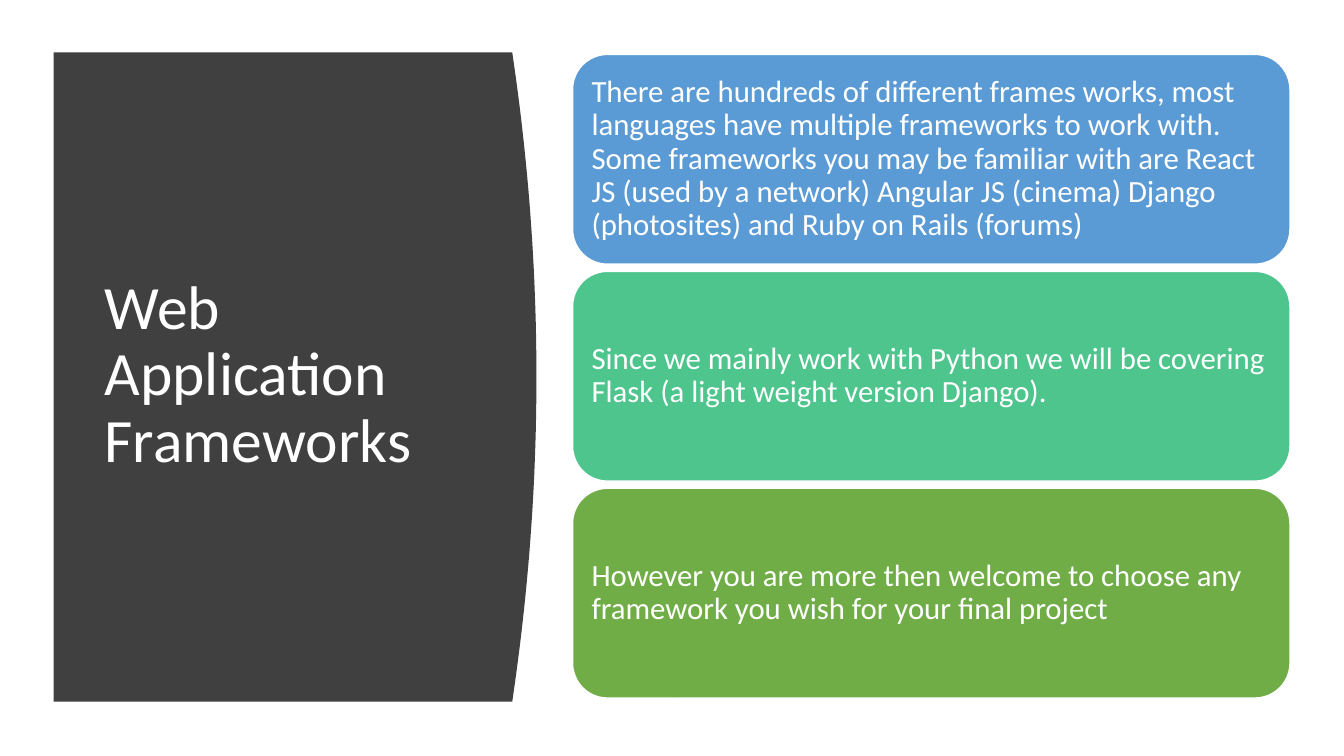
from dataclasses import dataclass

import pptx
import pptx.dml.color
import pptx.enum.shapes
import pptx.enum.text
import pptx.util
from pptx.util import Cm


@dataclass(frozen=True)
class Theme:
    font: str = "Calibri"
    title_size: int = 44
    body_size: int = 22
    text: str = "FFFFFF"
    panel: str = "404040"
    cards: tuple = ("5B9BD5", "4DC58D", "70AD47")


THEME = Theme()

TITLE = "Web Application Frameworks"
STATEMENTS = (
    "There are hundreds of different frames works, most languages have multiple "
    "frameworks to work with. Some frameworks you may be familiar with are React JS "
    "(used by a network) Angular JS (cinema) Django (photosites) and Ruby on Rails (forums)",
    "Since we mainly work with Python we will be covering Flask "
    "(a light weight version Django).",
    "However you are more then welcome to choose any framework you wish "
    "for your final project",
)


def color(value):
    return pptx.dml.color.RGBColor.from_string(value)


def paint(shape, fill):
    shape.shadow.inherit = False
    shape.fill.solid()
    shape.fill.fore_color.rgb = color(fill)


def write(shape, text, *, size, inset):
    frame = shape.text_frame
    frame.word_wrap = True
    frame.vertical_anchor = pptx.enum.text.MSO_ANCHOR.MIDDLE
    frame.margin_left = frame.margin_right = inset
    frame.margin_top = frame.margin_bottom = inset
    paragraph = frame.paragraphs[0]
    paragraph.alignment = pptx.enum.text.PP_ALIGN.LEFT
    paragraph.line_spacing = 0.9
    run = paragraph.add_run()
    run.text = text
    run.font.name = THEME.font
    run.font.size = pptx.util.Pt(size)
    run.font.color.rgb = color(THEME.text)


def add_title_panel(slide, left, top, width, height):
    bulge = Cm(0.61)
    steps = 48
    curve = []
    for step in range(steps + 1):
        offset = 2 * step / steps - 1
        curve.append((left + width - bulge * offset**2, top + height * step / steps))
    builder = slide.shapes.build_freeform(left, top)
    builder.add_line_segments(curve + [(left, top + height)], close=True)
    panel = builder.convert_to_shape()
    paint(panel, THEME.panel)
    panel.line.fill.background()

    title = slide.shapes.add_textbox(
        left + Cm(1.04), top + Cm(1.5), width - Cm(2.67), height - Cm(3.05)
    )
    write(title, TITLE, size=THEME.title_size, inset=Cm(0.25))


def add_cards(slide, left, top, width, height):
    gap = Cm(0.18)
    count = len(STATEMENTS)
    card_height = (height - gap * (count - 1)) // count
    for index, (statement, fill) in enumerate(zip(STATEMENTS, THEME.cards)):
        card = slide.shapes.add_shape(
            pptx.enum.shapes.MSO_SHAPE.ROUNDED_RECTANGLE,
            left, top + index * (card_height + gap), width, card_height,
        )
        paint(card, fill)
        card.line.color.rgb = color(THEME.text)
        card.line.width = pptx.util.Pt(1)
        write(card, statement, size=THEME.body_size, inset=Cm(0.22))


def main():
    presentation = pptx.Presentation()
    presentation.slide_width = Cm(33.87)
    presentation.slide_height = Cm(19.05)
    slide = presentation.slides.add_slide(presentation.slide_layouts[6])
    add_title_panel(slide, Cm(1.35), Cm(1.32), Cm(12.17), Cm(16.36))
    add_cards(slide, Cm(14.43), Cm(1.37), Cm(18.08), Cm(16.22))
    presentation.save("out.pptx")


if __name__ == "__main__":
    main()
